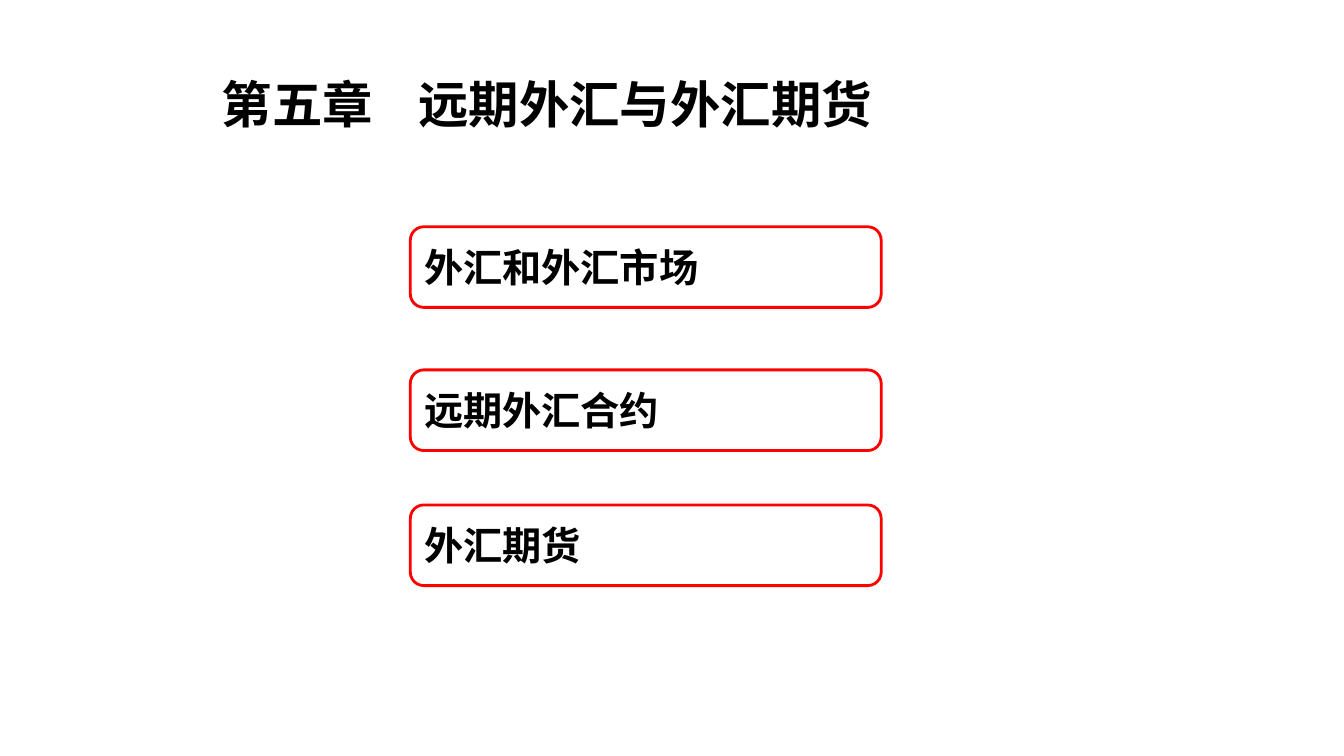
from lxml import etree
from pptx import Presentation
from pptx.dml.color import RGBColor
from pptx.enum.shapes import MSO_SHAPE
from pptx.enum.text import MSO_ANCHOR, MSO_AUTO_SIZE, PP_ALIGN
from pptx.oxml.ns import qn
from pptx.util import Inches, Pt

ROUNDED = MSO_SHAPE.FLOWCHART_ALTERNATE_PROCESS
MIDDLE, TOP = MSO_ANCHOR.MIDDLE, MSO_ANCHOR.TOP
LEFT = PP_ALIGN.LEFT
GROW = MSO_AUTO_SIZE.SHAPE_TO_FIT_TEXT

# Content
CHAPTER = ("第五章", "远期外汇与外汇期货")
TOPICS = [  # (text, top in inches)
    ("外汇和外汇市场", 2.25),
    ("远期外汇合约", 3.67),
    ("外汇期货", 5.01),
]

# Layout in inches
PAGE_SIZE = (13.33, 7.5)
TITLE_AREA = (2.1, 0.68, 8.74, 0.7)
TITLE_TAB = 1.95
TOPIC_LEFT, TOPIC_WIDTH, TOPIC_HEIGHT = 4.07, 4.67, 0.8

THEME = {
    "ink": RGBColor(0, 0, 0),
    "outline": RGBColor(255, 0, 0),
    "outline_width": 2,
    "title_font": "Arial",
    "chinese_font": "Noto Sans CJK SC",
    "title_size": 36,
    "topic_size": 28,
}


def write_text(box, text, *, size, font, anchor=TOP, wrap=True):
    """Fill a box with one bold left-aligned paragraph and return it."""
    frame = box.text_frame
    frame.word_wrap = wrap
    frame.vertical_anchor = anchor
    para = frame.paragraphs[0]
    para.alignment = LEFT
    span = para.add_run()
    span.text = text
    span.font.size = Pt(size)
    span.font.bold = True
    span.font.name = font
    span.font.color.rgb = THEME["ink"]
    east_asian = etree.SubElement(span.font._element, qn("a:ea"))
    east_asian.set("typeface", THEME["chinese_font"])
    return para


def add_tab_stop(para, position):
    """Give a paragraph one left tab stop, in inches from its text edge."""
    stops = etree.SubElement(para._p.get_or_add_pPr(), qn("a:tabLst"))
    etree.SubElement(stops, qn("a:tab"), pos=str(Inches(position)), algn="l")


def add_title(page):
    """Add the chapter number and name on one line."""
    box = page.shapes.add_textbox(*map(Inches, TITLE_AREA))
    para = write_text(box, "\t".join(CHAPTER),
                      size=THEME["title_size"], font=THEME["title_font"])
    add_tab_stop(para, TITLE_TAB)
    box.text_frame.auto_size = GROW


def add_topic(page, text, top):
    """Add one red-outlined topic box."""
    area = (TOPIC_LEFT, top, TOPIC_WIDTH, TOPIC_HEIGHT)
    box = page.shapes.add_shape(ROUNDED, *map(Inches, area))
    box.shadow.inherit = False
    box.fill.background()
    box.line.color.rgb = THEME["outline"]
    box.line.width = Pt(THEME["outline_width"])
    write_text(box, text, size=THEME["topic_size"],
               font=THEME["chinese_font"], anchor=MIDDLE, wrap=False)


def build():
    """Build the chapter page and save the deck."""
    deck = Presentation()
    deck.slide_width, deck.slide_height = map(Inches, PAGE_SIZE)
    page = deck.slides.add_slide(deck.slide_layouts[6])
    for text, top in TOPICS:
        add_topic(page, text, top)
    add_title(page)
    deck.save("out.pptx")


build()
